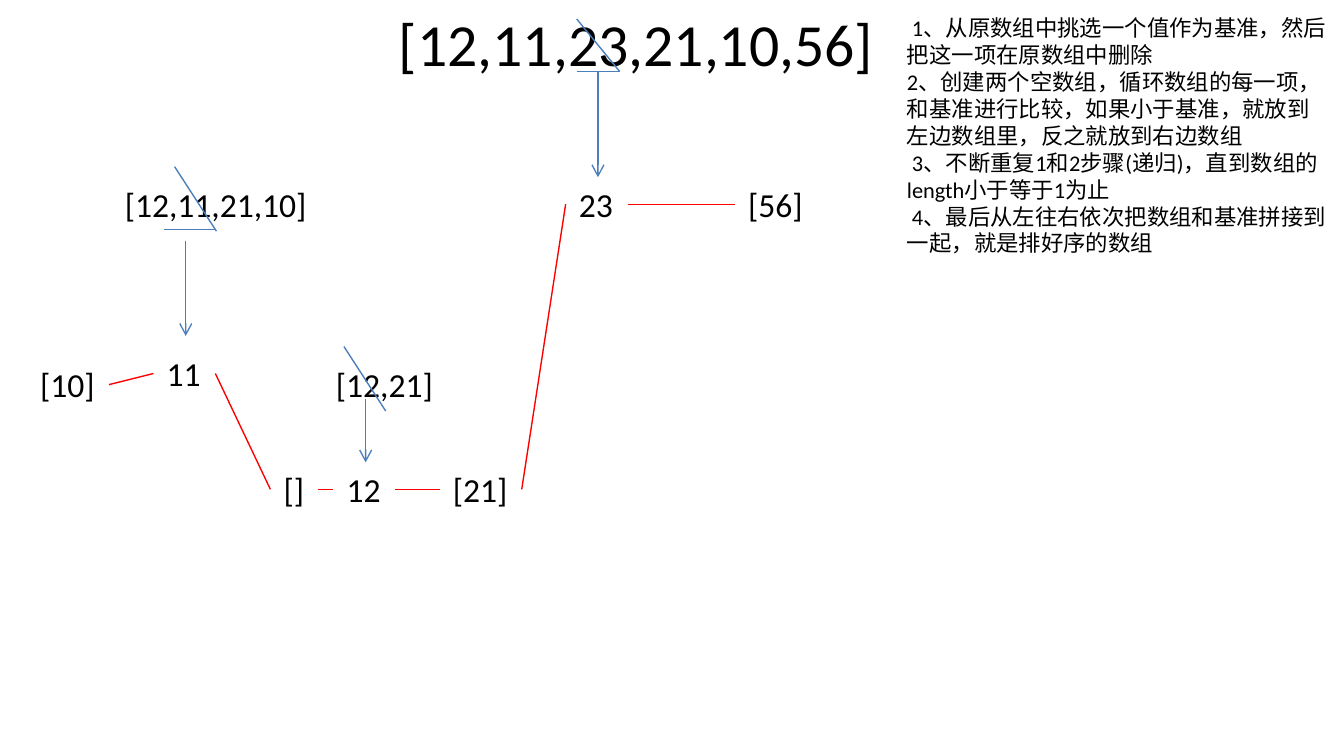
from lxml.etree import SubElement
from pptx import Presentation
from pptx.dml.color import RGBColor
from pptx.enum.shapes import MSO_CONNECTOR, MSO_SHAPE
from pptx.enum.text import MSO_ANCHOR, MSO_AUTO_SIZE, PP_ALIGN
from pptx.oxml.ns import qn
from pptx.util import Cm, Pt

BLUE, RED, BLACK, WHITE = "4B7EBC", "FF0000", "000000", "FFFFFF"
LABEL_HEIGHT = 1.02

STEPS = [
    "\u00a01、从原数组中挑选一个值作为基准，然后把这一项在原数组中删除",
    "2、创建两个空数组，循环数组的每一项，和基准进行比较，如果小于基准，就放到左边数组里，反之就放到右边数组",
    "\u00a03、不断重复1和2步骤(递归)，直到数组的length小于等于1为止",
    "\u00a04、最后从左往右依次把数组和基准拼接到一起，就是排好序的数组",
]
LABELS = {
    "23": (10.69, 3.35, 1.17),
    "[12,11,21,10]": (2.11, 3.35, 3.99),
    "[56]": (13.89, 3.35, 1.55),
    "[10]": (0.51, 6.76, 1.55),
    "[12,21]": (6.1, 6.76, 2.36),
    "11": (2.9, 6.55, 1.17),
    "12": (6.3, 8.74, 1.17),
    "[]": (5.11, 8.74, 0.9),
    "[21]": (8.31, 8.74, 1.55),
}
SORTED_ORDER = ["[10]", "11", "[]", "12", "[21]", "23", "[56]"]
PIVOT_UNDERLINES = [(10.9, 1.35, 11.71, 1.35), (3.1, 4.34, 4.09, 4.34)]
PIVOT_STRIKES = [(10.9, 0.36, 11.71, 1.35), (3.3, 3.15, 4.09, 4.37), (6.5, 6.55, 7.29, 7.77)]
PIVOT_ARROWS = [(11.3, 1.35, 11.3, 3.35), (3.51, 4.55, 3.51, 6.35), (6.91, 7.54, 6.91, 8.74)]


def color(value):
    """Turn a hex string into a colour."""
    return RGBColor.from_string(value)


def write_text(shape, paragraphs, size=18, font="Calibri", fill=BLACK, wrap=False):
    """Fill a shape with left-aligned paragraphs in one format."""
    frame = shape.text_frame
    frame.text = "\n".join(paragraphs)
    frame.word_wrap = wrap
    frame.auto_size = MSO_AUTO_SIZE.NONE
    frame.vertical_anchor = MSO_ANCHOR.TOP
    for paragraph in frame.paragraphs:
        paragraph.alignment = PP_ALIGN.LEFT
        for run in paragraph.runs:
            run.font.size = Pt(size)
            run.font.name = font
            run.font.color.rgb = color(fill)


def add_label(slide, text, left, top, width, height=LABEL_HEIGHT, size=18):
    """Add a single-line array or pivot label."""
    box = slide.shapes.add_textbox(Cm(left), Cm(top), Cm(width), Cm(height))
    write_text(box, [text], size=size)


def add_notes_panel(slide, left, top, width, height):
    """Add the white panel that explains the steps."""
    panel = slide.shapes.add_shape(MSO_SHAPE.RECTANGLE, Cm(left), Cm(top), Cm(width), Cm(height))
    panel.shadow.inherit = False
    panel.fill.solid()
    panel.fill.fore_color.rgb = color(WHITE)
    panel.line.fill.background()
    write_text(panel, STEPS, size=12, wrap=True)


def add_line(slide, ends, stroke=BLUE, arrow=False):
    """Add a thin straight line, optionally with an arrowhead at its end."""
    connector = slide.shapes.add_connector(MSO_CONNECTOR.STRAIGHT, *map(Cm, ends))
    connector.line.color.rgb = color(stroke)
    connector.line.width = Pt(0.75)
    if arrow:
        SubElement(connector.line._get_or_add_ln(), qn("a:tailEnd"), type="arrow")
    SubElement(connector._element.spPr, qn("a:effectLst"))


def link_labels(slide, first, second):
    """Join the right middle of one label to the left middle of the next."""
    left, top, width = LABELS[first]
    next_left, next_top, _ = LABELS[second]
    middle = LABEL_HEIGHT / 2
    add_line(slide, (left + width, top + middle, next_left, next_top + middle), stroke=RED)


def main():
    """Build the quicksort slide."""
    presentation = Presentation()
    presentation.slide_width = Cm(25.4)
    presentation.slide_height = Cm(14.29)
    slide = presentation.slides.add_slide(presentation.slide_layouts[6])
    add_label(slide, "[12,11,23,21,10,56]", 7.29, 0, 9.58, height=1.62, size=32)
    add_notes_panel(slide, 16.89, 0.15, 8.51, 5.64)
    for text, place in LABELS.items():
        add_label(slide, text, *place)
    for ends in PIVOT_UNDERLINES + PIVOT_STRIKES:
        add_line(slide, ends)
    for ends in PIVOT_ARROWS:
        add_line(slide, ends, arrow=True)
    for first, second in zip(SORTED_ORDER, SORTED_ORDER[1:]):
        link_labels(slide, first, second)
    presentation.save("out.pptx")


main()
